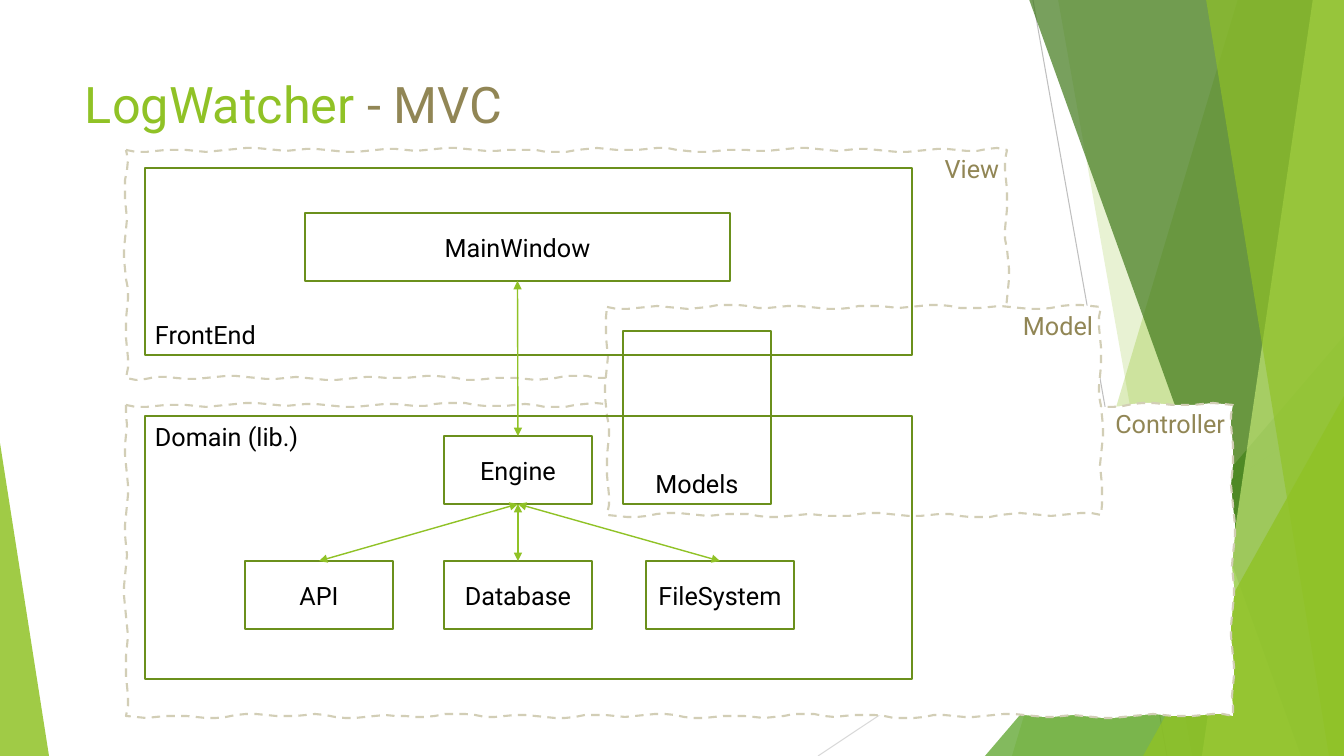
import math
from dataclasses import dataclass

from lxml import etree
from pptx import Presentation
from pptx.dml.color import RGBColor
from pptx.enum.dml import MSO_LINE
from pptx.enum.shapes import MSO_CONNECTOR, MSO_SHAPE
from pptx.enum.text import MSO_ANCHOR, PP_ALIGN
from pptx.oxml.ns import qn
from pptx.util import Pt

WIDTH, HEIGHT = 1344, 756
SCALE = 12192000 / WIDTH
FONT = "Roboto"
STRAIGHT = MSO_CONNECTOR.STRAIGHT
TRIANGLE = MSO_SHAPE.ISOSCELES_TRIANGLE
PROCESS = MSO_SHAPE.FLOWCHART_PROCESS
DASH = MSO_LINE.DASH
TOP, MIDDLE, BOTTOM = MSO_ANCHOR.TOP, MSO_ANCHOR.MIDDLE, MSO_ANCHOR.BOTTOM
LEFT, CENTER, RIGHT = PP_ALIGN.LEFT, PP_ALIGN.CENTER, PP_ALIGN.RIGHT
TOP_SITE, BOTTOM_SITE = 0, 2
COLORS = {
    "green": "90C226", "leaf": "54A021", "forest": "3F7819", "lime": "C0E474",
    "border": "6B901C", "khaki": "918655", "sand": "D2CEB6", "white": "FFFFFF",
    "black": "000000", "gray": "BFBFBF", "silver": "D9D9D9",
}


@dataclass(frozen=True)
class Shard:
    top_x: int
    bottom_x: int
    color: str
    opacity: int


@dataclass(frozen=True)
class Wedge:
    left: int
    top: int
    width: int
    apex: int
    color: str
    opacity: int


@dataclass(frozen=True)
class Region:
    label: str
    left: int
    top: int
    right: int
    bottom: int


@dataclass(frozen=True)
class Component:
    label: str
    left: int
    top: int
    width: int = 148
    height: int = 68
    anchor: MSO_ANCHOR = MIDDLE
    align: PP_ALIGN = CENTER


@dataclass(frozen=True)
class Link:
    lower: str
    upper: str


BACKDROP = [
    Shard(1238, 1012, "green", 30),
    Shard(1058, 1192, "green", 20),
    Wedge(985, 336, 359, 1, "leaf", 72),
    Shard(1029, 1301, "forest", 70),
    Shard(1313, 1202, "lime", 70),
    Shard(1206, 1329, "green", 65),
    Wedge(1143, 396, 201, 1, "green", 80),
    Wedge(0, 443, 49, 0, "green", 85),
]
REGIONS = [
    Region("View", 126, 150, 1007, 378),
    Region("Controller", 126, 405, 1233, 716),
    Region("Model", 607, 307, 1101, 515),
]
COMPONENTS = [
    Component("Domain (lib.)", 145, 416, 767, 263, TOP, LEFT),
    Component("FrontEnd", 145, 168, 767, 187, BOTTOM, LEFT),
    Component("API", 245, 561),
    Component("MainWindow", 305, 213, 425),
    Component("Database", 444, 561),
    Component("FileSystem", 646, 561),
    Component("Models", 623, 331, 148, 173, BOTTOM),
    Component("Engine", 444, 436),
]
LINKS = [
    Link("API", "Engine"), Link("Database", "Engine"),
    Link("FileSystem", "Engine"), Link("Engine", "MainWindow"),
]


def px(value: int) -> int:
    return round(value * SCALE)


def rgb(color: str) -> RGBColor:
    return RGBColor.from_string(COLORS[color])


def fill(shape, color: str, opacity: int = 100) -> None:
    shape.shadow.inherit = False
    shape.fill.solid()
    shape.fill.fore_color.rgb = rgb(color)
    if opacity < 100:
        solid = shape.fill._xPr.find(qn("a:solidFill"))
        etree.SubElement(solid[0], qn("a:alpha"), val=str(opacity * 1000))


def outline(shape, color: str, points: float) -> None:
    shape.line.color.rgb = rgb(color)
    shape.line.width = Pt(points)


def write(shape, runs: list[tuple[str, str]], size: int,
          anchor: MSO_ANCHOR, align: PP_ALIGN) -> None:
    frame = shape.text_frame
    frame.word_wrap = True
    frame.vertical_anchor = anchor
    paragraph = frame.paragraphs[0]
    paragraph.alignment = align
    for text, color in runs:
        run = paragraph.add_run()
        run.text = text
        run.font.name = FONT
        run.font.size = Pt(size)
        run.font.color.rgb = rgb(color)


def draw_polygon(shapes, points: list[tuple[int, int]]):
    builder = shapes.build_freeform(*points[0], scale=SCALE)
    builder.add_line_segments(points[1:], close=True)
    return builder.convert_to_shape()


def draw_line(shapes, start: tuple[int, int], end: tuple[int, int],
              color: str, points: float):
    line = shapes.add_connector(STRAIGHT, *map(px, start + end))
    outline(line, color, points)
    etree.SubElement(line._element.spPr, qn("a:effectLst"))
    return line


def draw_backdrop(shapes, part: Shard | Wedge) -> None:
    if isinstance(part, Shard):
        shape = draw_polygon(shapes, [(part.top_x, -1), (WIDTH, -1),
                                      (WIDTH, HEIGHT), (part.bottom_x, HEIGHT)])
    else:
        shape = shapes.add_shape(TRIANGLE, px(part.left), px(part.top),
                                 px(part.width), px(HEIGHT - part.top))
        shape.adjustments[0] = part.apex
    fill(shape, part.color, part.opacity)
    shape.line.fill.background()


def wavy_edge(start: tuple[int, int], end: tuple[int, int]) -> list[tuple[int, int]]:
    length = math.dist(start, end)
    steps = round(length / 10)
    along_x, along_y = (end[0] - start[0]) / length, (end[1] - start[1]) / length
    points = []
    for step in range(steps):
        distance = length * step / steps
        wave = 1.5 * math.sin(distance / 11) + math.sin(distance / 29)
        points.append((round(start[0] + along_x * distance - along_y * wave),
                       round(start[1] + along_y * distance + along_x * wave)))
    return points


def draw_region(shapes, region: Region) -> None:
    corners = [(region.left, region.top), (region.right, region.top),
               (region.right, region.bottom), (region.left, region.bottom)]
    points = []
    for start, end in zip(corners, corners[1:] + corners[:1]):
        points += wavy_edge(start, end)
    shape = draw_polygon(shapes, points)
    fill(shape, "white")
    outline(shape, "sand", 1.5)
    shape.line.dash_style = DASH
    write(shape, [(region.label, "khaki")], 18, TOP, RIGHT)


def draw_component(shapes, part: Component):
    shape = shapes.add_shape(PROCESS, px(part.left), px(part.top),
                             px(part.width), px(part.height))
    shape.shadow.inherit = False
    shape.fill.background()
    outline(shape, "border", 1.5)
    write(shape, [(part.label, "black")], 18, part.anchor, part.align)
    return shape


def draw_link(shapes, link: Link, drawn: dict) -> None:
    arrow = draw_line(shapes, (0, 0), (0, 0), "green", 1)
    arrow.begin_connect(drawn[link.lower], TOP_SITE)
    arrow.end_connect(drawn[link.upper], BOTTOM_SITE)
    stroke = arrow.line._get_or_add_ln()
    for end in ("a:headEnd", "a:tailEnd"):
        etree.SubElement(stroke, qn(end), type="triangle")


def main() -> None:
    deck = Presentation()
    deck.slide_width, deck.slide_height = px(WIDTH), px(HEIGHT)
    shapes = deck.slides.add_slide(deck.slide_layouts[6]).shapes
    draw_line(shapes, (1033, 0), (1167, HEIGHT), "gray", 0.75)
    draw_line(shapes, (WIDTH, 406), (818, HEIGHT), "silver", 0.75)
    for part in BACKDROP:
        draw_backdrop(shapes, part)
    for region in REGIONS:
        draw_region(shapes, region)
    title = shapes.add_textbox(px(75), px(68), px(948), px(145))
    write(title, [("LogWatcher ", "green"), ("- MVC", "khaki")], 36, TOP, LEFT)
    drawn = {part.label: draw_component(shapes, part) for part in COMPONENTS}
    for link in LINKS:
        draw_link(shapes, link, drawn)
    deck.save("out.pptx")


main()
